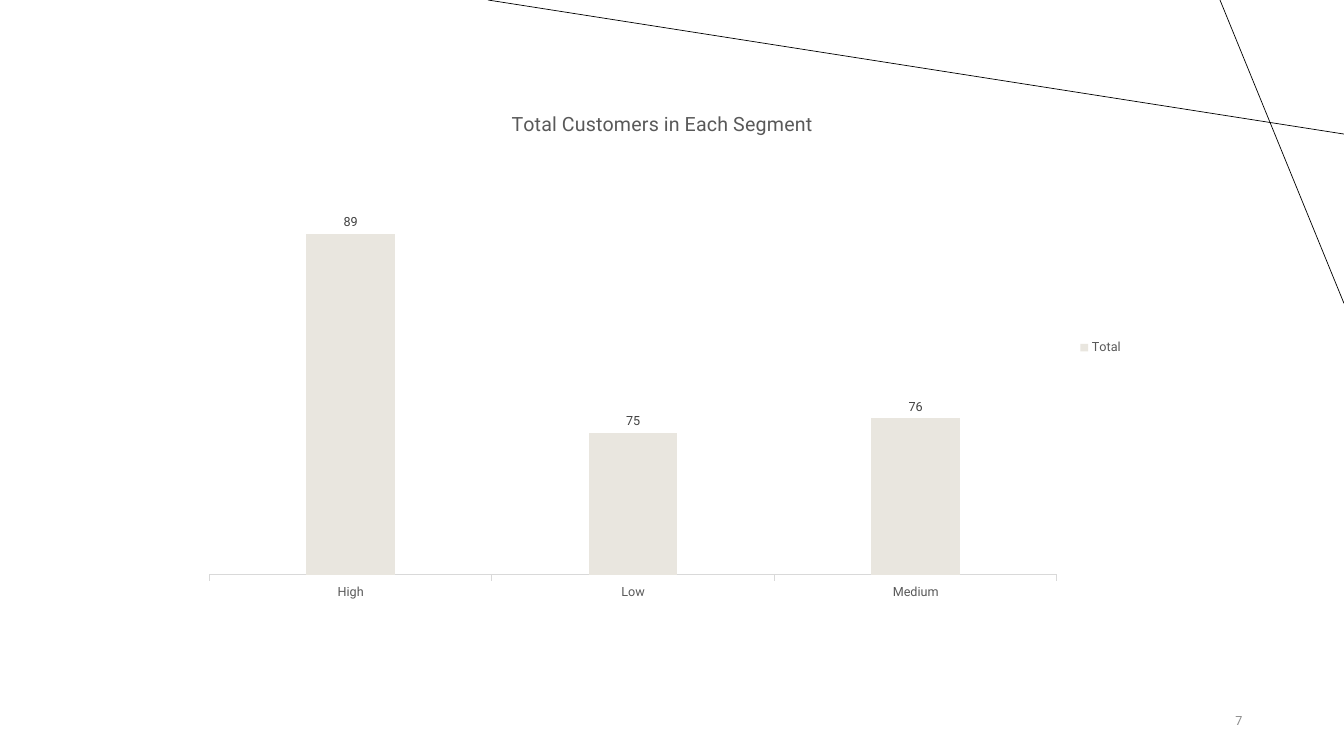
import pptx
import pptx.chart.data
import pptx.dml.color
import pptx.enum.chart
import pptx.enum.shapes
import pptx.enum.text
import pptx.oxml
import pptx.oxml.ns
import pptx.util
from pptx.util import Inches

# Content
TITLE = "Total Customers in Each Segment"
PAGE_NUMBER = "7"
SERIES_NAME = "Total"
CUSTOMERS = {"High": 89, "Low": 75, "Medium": 76}
CORNER_LINES = [((13.33, 1.33), (4.84, 0)), ((12.1, 0), (13.33, 3.01))]

# Style
FONT = "Roboto"
BLACK = pptx.dml.color.RGBColor(0x00, 0x00, 0x00)
DARK_GRAY = pptx.dml.color.RGBColor(0x40, 0x40, 0x40)
TEXT_GRAY = pptx.dml.color.RGBColor(0x59, 0x59, 0x59)
NUMBER_GRAY = pptx.dml.color.RGBColor(0x8C, 0x8C, 0x8C)
AXIS_GRAY = pptx.dml.color.RGBColor(0xD9, 0xD9, 0xD9)
BAR_BEIGE = pptx.dml.color.RGBColor(0xE9, 0xE6, 0xDF)


def format_font(font, size, color):
    font.name = FONT
    font.size = pptx.util.Pt(size)
    font.bold = False
    font.color.rgb = color


def write_text(frame, text, *, size, color, align):
    paragraph = frame.paragraphs[0]
    paragraph.alignment = align
    run = paragraph.add_run()
    run.text = text
    format_font(run.font, size, color)


def set_layout(parent, before, target=None, **fractions):
    """Place a chart part by fractions of the chart's size."""
    for old in parent.findall(pptx.oxml.ns.qn("c:layout")):
        parent.remove(old)
    parts = [f'<c:layoutTarget val="{target}"/>'] if target else []
    parts += [f'<c:{key}Mode val="edge"/>' for key in ("x", "y")]
    parts += [f'<c:{key} val="{value}"/>' for key, value in fractions.items()]
    layout = pptx.oxml.parse_xml(
        f'<c:layout {pptx.oxml.ns.nsdecls("c")}><c:manualLayout>'
        f'{"".join(parts)}</c:manualLayout></c:layout>')
    parent.find(pptx.oxml.ns.qn(before)).addprevious(layout)


presentation = pptx.Presentation()
presentation.slide_width = Inches(13.33)
presentation.slide_height = Inches(7.5)
slide = presentation.slides.add_slide(presentation.slide_layouts[6])

# Corner lines
for start, end in CORNER_LINES:
    connector = slide.shapes.add_connector(
        pptx.enum.shapes.MSO_CONNECTOR.STRAIGHT,
        *(Inches(value) for value in start + end))
    connector.line.color.rgb = BLACK
    connector.line.width = pptx.util.Pt(0.5)
    connector._element.spPr.append(
        pptx.oxml.parse_xml(f'<a:effectLst {pptx.oxml.ns.nsdecls("a")}/>'))

# Page number
number_box = slide.shapes.add_textbox(
    Inches(11.34), Inches(6.95), Inches(1.08), Inches(0.4))
number_box.text_frame.word_wrap = True
number_box.text_frame.vertical_anchor = pptx.enum.text.MSO_ANCHOR.MIDDLE
write_text(number_box.text_frame, PAGE_NUMBER, size=9, color=NUMBER_GRAY,
           align=pptx.enum.text.PP_ALIGN.RIGHT)

# Chart
chart_data = pptx.chart.data.CategoryChartData()
chart_data.categories = list(CUSTOMERS)
chart_data.add_series(SERIES_NAME, list(CUSTOMERS.values()))
chart = slide.shapes.add_chart(
    pptx.enum.chart.XL_CHART_TYPE.COLUMN_CLUSTERED,
    Inches(1.9), Inches(0.85), Inches(9.34), Inches(5.2), chart_data).chart
format_font(chart.font, 10, BLACK)

# Chart title
chart.has_title = True
write_text(chart.chart_title.text_frame, TITLE, size=14, color=TEXT_GRAY,
           align=pptx.enum.text.PP_ALIGN.CENTER)
chart.chart_title.include_in_layout = False
set_layout(chart.chart_title._element, "c:overlay", x=0.336, y=0.04)

# Legend
chart.has_legend = True
chart.legend.position = pptx.enum.chart.XL_LEGEND_POSITION.RIGHT
chart.legend.include_in_layout = False
format_font(chart.legend.font, 9, TEXT_GRAY)

# Axes
category_axis = chart.category_axis
category_axis.major_tick_mark = pptx.enum.chart.XL_TICK_MARK.OUTSIDE
category_axis.format.line.color.rgb = AXIS_GRAY
category_axis.format.line.width = pptx.util.Pt(0.75)
format_font(category_axis.tick_labels.font, 9, TEXT_GRAY)
value_axis = chart.value_axis
value_axis.minimum_scale = 65
value_axis.maximum_scale = 95
value_axis.has_major_gridlines = False
value_axis.visible = False

# Columns and their labels
plot = chart.plots[0]
plot.gap_width = 219
plot.overlap = -27
plot.vary_by_categories = False
series = plot.series[0]
series.format.fill.solid()
series.format.fill.fore_color.rgb = BAR_BEIGE
labels = series.data_labels
labels.show_value = True
labels.position = pptx.enum.chart.XL_LABEL_POSITION.OUTSIDE_END
format_font(labels.font, 9, DARK_GRAY)
set_layout(plot._element.getparent(), "c:barChart", target="inner",
           x=0.019, y=0.12, w=0.9, h=0.813)

presentation.save("out.pptx")
